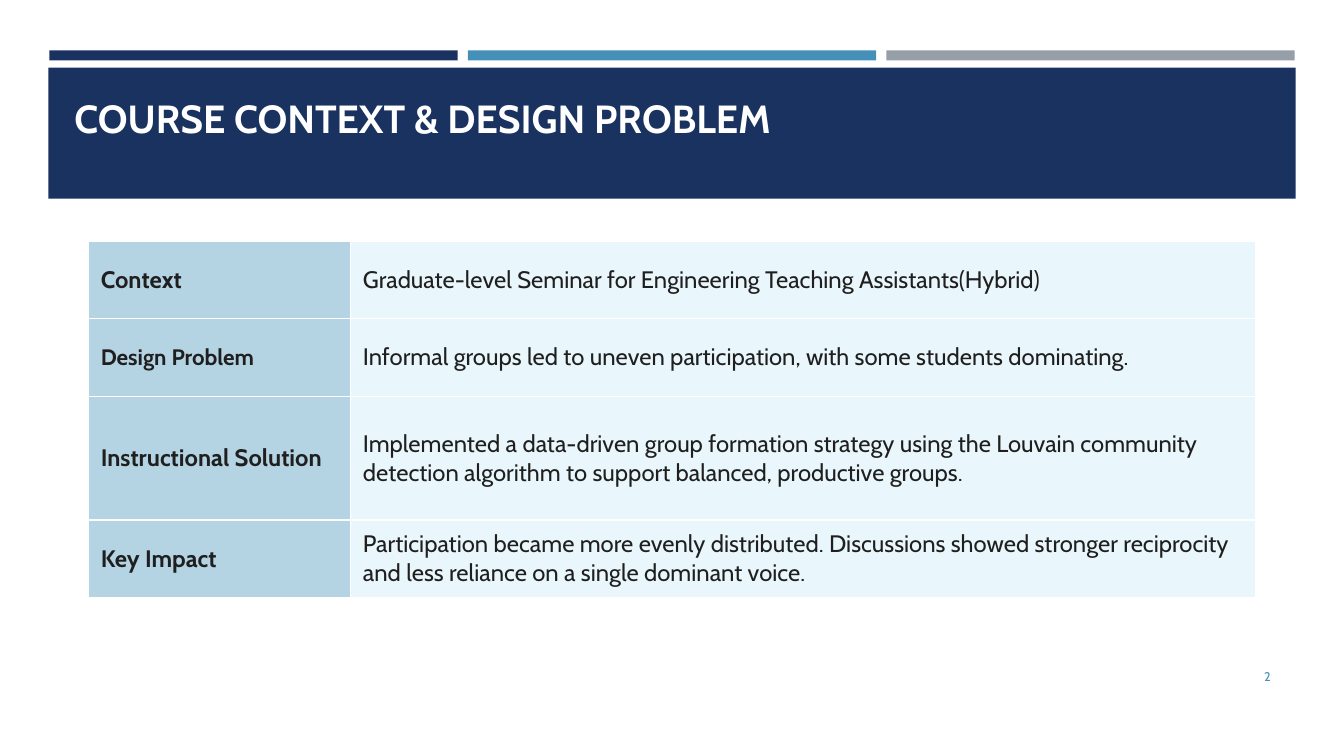
import pptx
import pptx.dml.color
import pptx.enum.shapes
import pptx.enum.text
import pptx.oxml
import pptx.oxml.ns
import pptx.util

Inches = pptx.util.Inches
Pt = pptx.util.Pt
ANCHOR = pptx.enum.text.MSO_ANCHOR
ALIGN = pptx.enum.text.PP_ALIGN

FONT = "Cabin"
COLORS = {
    "navy": "1A3260",
    "blue": "4590B8",
    "gray": "969FA7",
    "white": "FFFFFF",
    "ink": "1F1F1F",
    "label": "B4D3E3",
    "detail": "E9F6FB",
}
ROWS = [
    ("Context", 17, 0.77,
     "Graduate-level Seminar for Engineering Teaching Assistants(Hybrid)"),
    ("Design Problem", 16, 0.77,
     "Informal groups led to uneven participation, with some students dominating."),
    ("Instructional Solution", 17, 1.23,
     "Implemented a data-driven group formation strategy using the Louvain community "
     "detection algorithm to support balanced, productive groups."),
    ("Key Impact", 17, 0.77,
     "Participation became more evenly distributed. Discussions showed stronger "
     "reciprocity and less reliance on a single dominant voice."),
]
COL_WIDTHS = (2.6, 8.97)


def rgb(name):
    return pptx.dml.color.RGBColor.from_string(COLORS[name])


def set_attrs(obj, values):
    for name, value in values.items():
        setattr(obj, name, value)


def write(tf, text, size, color, bold=False, **paragraph_format):
    p = tf.paragraphs[0]
    set_attrs(p, paragraph_format)
    r = p.add_run()
    r.text = text
    set_attrs(r.font, {"name": FONT, "size": Pt(size), "bold": bold})
    r.font.color.rgb = rgb(color)


def add_bar(s, x, y, w, h, color):
    sp = s.shapes.add_shape(pptx.enum.shapes.MSO_SHAPE.RECTANGLE,
                            Inches(x), Inches(y), Inches(w), Inches(h))
    sp.shadow.inherit = False
    sp.fill.solid()
    sp.fill.fore_color.rgb = rgb(color)
    sp.line.fill.background()


def add_text(s, x, y, w, h, frame_format, *text_args, **text_format):
    tf = s.shapes.add_textbox(Inches(x), Inches(y), Inches(w), Inches(h)).text_frame
    set_attrs(tf, {"word_wrap": True, **frame_format})
    write(tf, *text_args, **text_format)


def add_borders(cell):
    tc_pr = cell._tc.get_or_add_tcPr()
    for side in ("lnL", "lnR", "lnT", "lnB"):
        tc_pr.append(pptx.oxml.parse_xml(
            f'<a:{side} {pptx.oxml.ns.nsdecls("a")} w="{Pt(1)}"><a:solidFill>'
            f'<a:srgbClr val="{COLORS["white"]}"/></a:solidFill></a:{side}>'))


def fill_cell(cell, text, size, fill, bold):
    set_attrs(cell, {
        "vertical_anchor": ANCHOR.MIDDLE,
        "margin_left": Inches(0.12), "margin_right": Inches(0.12),
        "margin_top": Inches(0.08), "margin_bottom": Inches(0.08),
    })
    add_borders(cell)
    cell.fill.solid()
    cell.fill.fore_color.rgb = rgb(fill)
    write(cell.text_frame, text, size, "ink", bold)


def add_summary_table(s, x, y):
    height = sum(row[2] for row in ROWS)
    table = s.shapes.add_table(len(ROWS), len(COL_WIDTHS), Inches(x), Inches(y),
                               Inches(sum(COL_WIDTHS)), Inches(height)).table
    set_attrs(table, {"first_row": False, "horz_banding": False})
    for col, width in zip(table.columns, COL_WIDTHS):
        col.width = Inches(width)
    for i, (label, label_size, row_height, detail) in enumerate(ROWS):
        table.rows[i].height = Inches(row_height)
        fill_cell(table.cell(i, 0), label, label_size, "label", True)
        fill_cell(table.cell(i, 1), detail, 17, "detail", False)


def main():
    prs = pptx.Presentation()
    set_attrs(prs, {"slide_width": Inches(13.33), "slide_height": Inches(7.5)})
    s = prs.slides.add_slide(prs.slide_layouts[6])

    for i, color in enumerate(("navy", "blue", "gray")):
        add_bar(s, 0.49 + 4.15 * i, 0.5, 4.05, 0.1, color)
    add_bar(s, 0.48, 0.67, 12.37, 1.3, "navy")
    add_text(s, 0.64, 0.77, 12.06, 1.11,
             {"vertical_anchor": ANCHOR.BOTTOM, "margin_bottom": Inches(0.47)},
             "COURSE CONTEXT & DESIGN PROBLEM", 28, "white", True, line_spacing=0.9)
    add_summary_table(s, 0.88, 2.39)
    add_text(s, 11.55, 6.51, 1.15, 0.4, {"vertical_anchor": ANCHOR.MIDDLE},
             "2", 9, "blue", alignment=ALIGN.RIGHT)

    prs.save("out.pptx")


if __name__ == "__main__":
    main()
